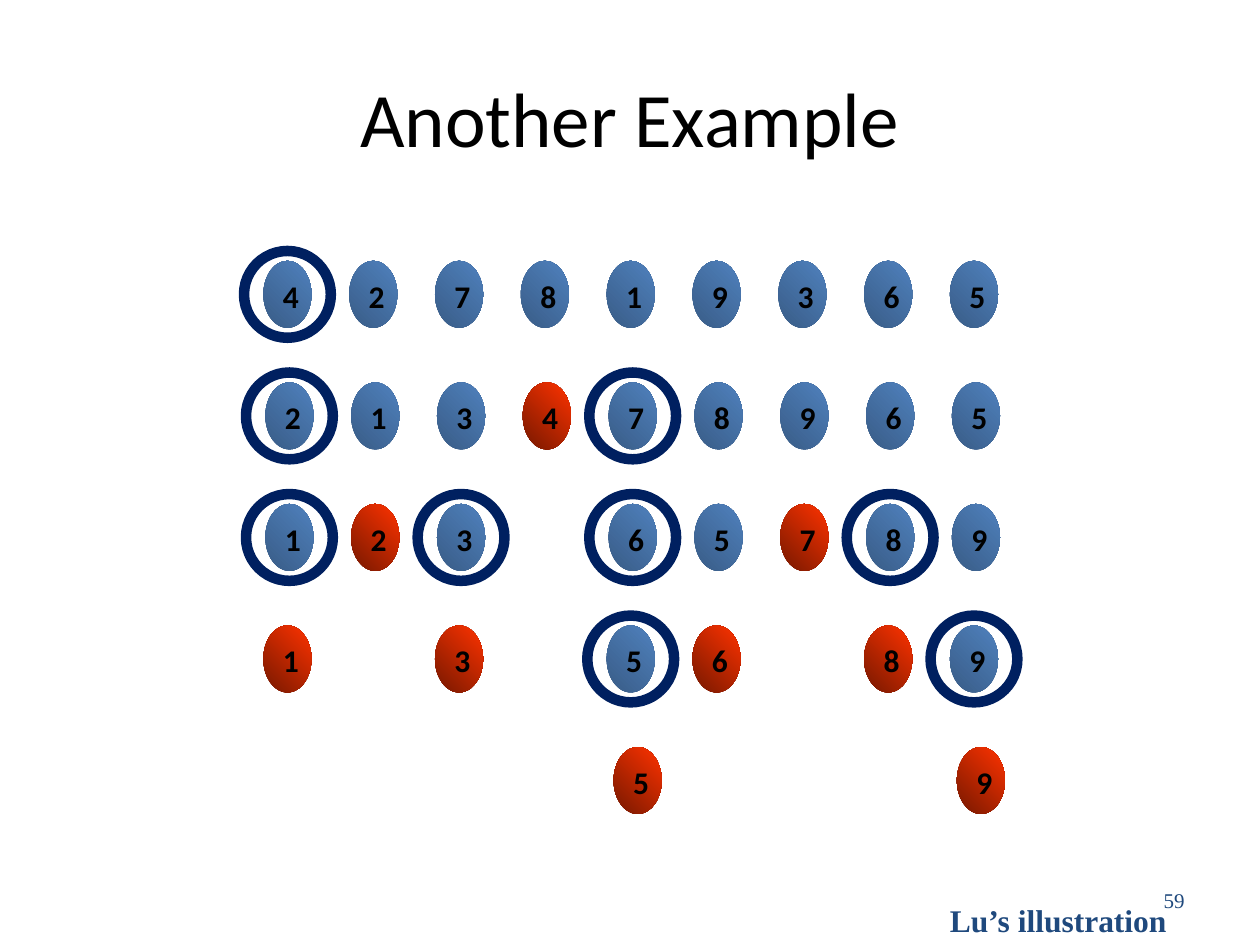
import dataclasses

import pptx
import pptx.dml.color
import pptx.enum.shapes
import pptx.enum.text
import pptx.shapes.autoshape
import pptx.slide
import pptx.util

Cm = pptx.util.Cm
Align = pptx.enum.text.PP_ALIGN
Anchor = pptx.enum.text.MSO_ANCHOR
AutoSize = pptx.enum.text.MSO_AUTO_SIZE


@dataclasses.dataclass(frozen=True)
class Theme:
    sans: str = "Calibri"
    serif: str = "Times New Roman"
    ink: str = "000000"
    footer: str = "1F497D"
    ring: str = "002060"
    waiting: tuple[str, str] = ("395C87", "4F81BD")
    settled: tuple[str, str] = ("761800", "FF3300")
    title_size: float = 44
    label_size: float = 18
    number_size: float = 12
    ring_width: float = 6


@dataclasses.dataclass(frozen=True)
class Step:
    digits: str
    pivots: str = ""
    settled: str = ""
    shift: float = 0


THEME = Theme()
EMPTY = "."
STEPS = (
    Step("427819365", pivots="4"),
    Step("213478965", pivots="27", settled="4", shift=0.04),
    Step("123.65789", pivots="1368", settled="27", shift=0.04),
    Step("1.3.56.89", pivots="59", settled="1368"),
    Step("....5...9", settled="59", shift=0.14),
)
GRID_LEFT, GRID_TOP = 5.31, 5.26
COLUMN_PITCH, ROW_PITCH = 1.73, 2.45
BALL_WIDTH, BALL_HEIGHT = 0.97, 1.35
RING_SIZE = 1.75


def color(value: str) -> pptx.dml.color.RGBColor:
    return pptx.dml.color.RGBColor.from_string(value)


def write(
    shape: pptx.shapes.autoshape.Shape,
    text: str,
    *,
    size: float,
    font: str = THEME.sans,
    ink: str = THEME.ink,
    bold: bool = False,
    align: Align = Align.LEFT,
    anchor: Anchor = Anchor.TOP,
    wrap: bool = True,
    auto_size: AutoSize = AutoSize.NONE,
) -> None:
    frame = shape.text_frame
    frame.word_wrap = wrap
    frame.auto_size = auto_size
    frame.vertical_anchor = anchor
    paragraph = frame.paragraphs[0]
    paragraph.alignment = align
    run = paragraph.add_run()
    run.text = text
    run.font.name = font
    run.font.size = pptx.util.Pt(size)
    run.font.bold = bold
    run.font.color.rgb = color(ink)


def add_ellipse(
    slide: pptx.slide.Slide, center_x: float, center_y: float, width: float, height: float
) -> pptx.shapes.autoshape.Shape:
    shape = slide.shapes.add_shape(
        pptx.enum.shapes.MSO_SHAPE.OVAL,
        Cm(center_x - width / 2), Cm(center_y - height / 2), Cm(width), Cm(height),
    )
    shape.shadow.inherit = False
    return shape


def add_ball(
    slide: pptx.slide.Slide, digit: str, x: float, y: float, shades: tuple[str, str]
) -> None:
    ball = add_ellipse(slide, x, y, BALL_WIDTH, BALL_HEIGHT)
    ball.fill.gradient()
    ball.fill.gradient_angle = 45
    for stop, shade in zip(ball.fill.gradient_stops, shades):
        stop.color.rgb = color(shade)
    ball.line.fill.background()
    write(ball, digit, size=THEME.label_size, bold=True, wrap=False,
          auto_size=AutoSize.SHAPE_TO_FIT_TEXT)


def add_ring(slide: pptx.slide.Slide, x: float, y: float) -> None:
    ring = add_ellipse(slide, x, y, RING_SIZE, RING_SIZE)
    ring.fill.background()
    ring.line.color.rgb = color(THEME.ring)
    ring.line.width = pptx.util.Pt(THEME.ring_width)


def add_step(slide: pptx.slide.Slide, row: int, step: Step) -> None:
    y = GRID_TOP + row * ROW_PITCH + BALL_HEIGHT / 2
    left = GRID_LEFT + step.shift + BALL_WIDTH / 2
    centers = {
        digit: left + column * COLUMN_PITCH
        for column, digit in enumerate(step.digits)
        if digit != EMPTY
    }
    for digit, x in centers.items():
        shades = THEME.settled if digit in step.settled else THEME.waiting
        add_ball(slide, digit, x, y, shades)
    for digit in step.pivots:
        add_ring(slide, centers[digit], y)


def main() -> None:
    presentation = pptx.Presentation()
    presentation.slide_width, presentation.slide_height = Cm(25.4), Cm(19.05)
    slide = presentation.slides.add_slide(presentation.slide_layouts[5])

    title = slide.shapes.title
    title.left, title.top, title.width, title.height = Cm(1.27), Cm(0.76), Cm(22.86), Cm(3.18)
    write(title, "Another Example", size=THEME.title_size,
          align=Align.CENTER, anchor=Anchor.MIDDLE)

    number = slide.shapes.add_textbox(Cm(18.2), Cm(17.65), Cm(5.93), Cm(1.01))
    write(number, "59", size=THEME.number_size, font=THEME.serif, ink=THEME.footer,
          align=Align.RIGHT, anchor=Anchor.MIDDLE)

    for row, step in enumerate(STEPS):
        add_step(slide, row, step)

    credit = slide.shapes.add_textbox(Cm(18.9), Cm(18.03), Cm(5.21), Cm(1.02))
    write(credit, "Lu’s illustration", size=THEME.label_size, font=THEME.serif,
          ink=THEME.footer, bold=True, auto_size=AutoSize.SHAPE_TO_FIT_TEXT)

    presentation.save("out.pptx")


if __name__ == "__main__":
    main()
